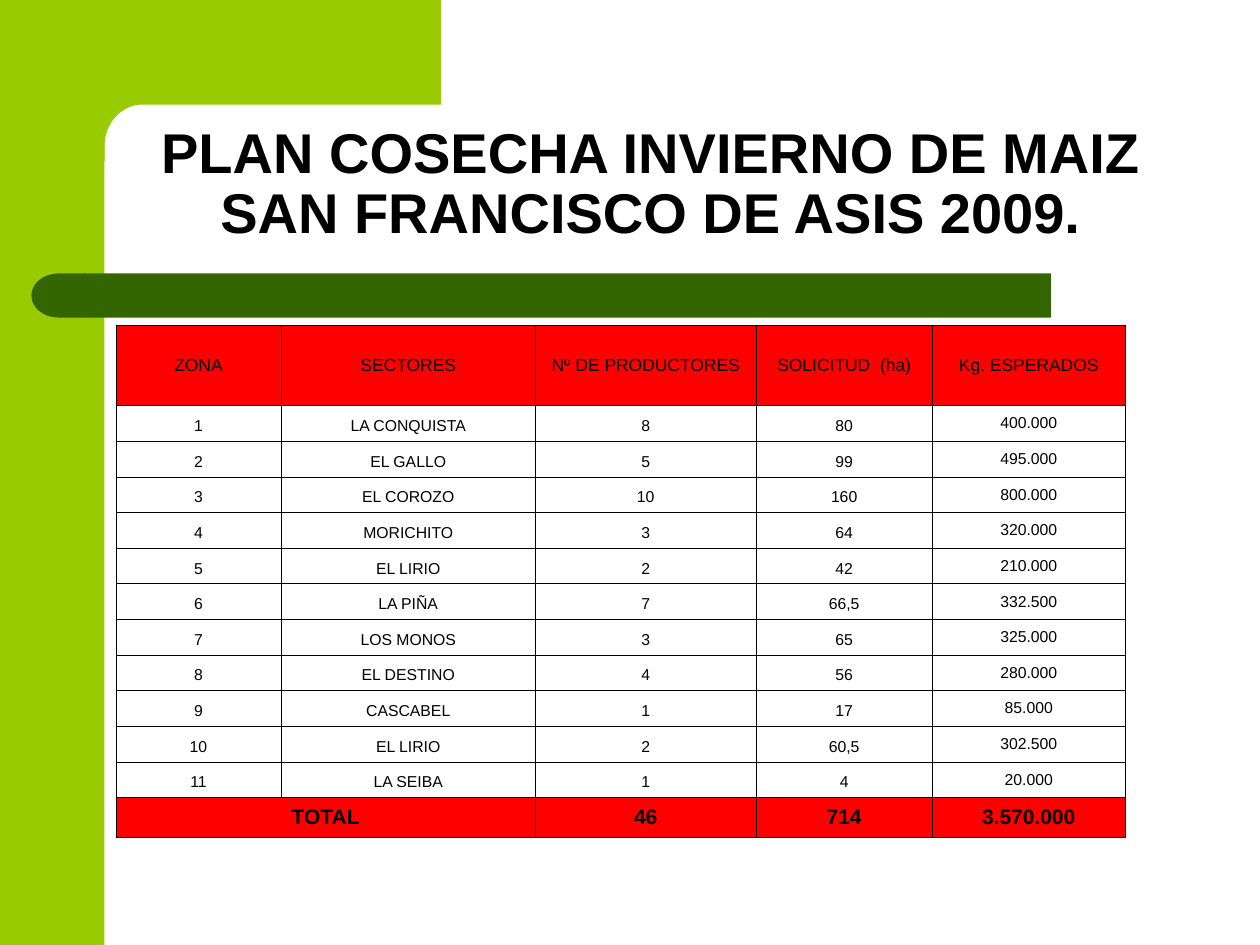
import math

from lxml import etree
from pptx import Presentation
from pptx import util as u
from pptx.dml.color import RGBColor
from pptx.enum import shapes, text
from pptx.oxml import ns

COLORS = {"lime": "99CC00", "green": "336600", "red": "FF0000", "black": "000000"}
HEADERS = ["ZONA", "SECTORES", "Nº DE PRODUCTORES", "SOLICITUD  (ha)", "Kg. ESPERADOS"]
SECTORS = [
    ("LA CONQUISTA", "8", "80", "400.000"),
    ("EL GALLO", "5", "99", "495.000"),
    ("EL COROZO", "10", "160", "800.000"),
    ("MORICHITO", "3", "64", "320.000"),
    ("EL LIRIO", "2", "42", "210.000"),
    ("LA PIÑA", "7", "66,5", "332.500"),
    ("LOS MONOS", "3", "65", "325.000"),
    ("EL DESTINO", "4", "56", "280.000"),
    ("CASCABEL", "1", "17", "85.000"),
    ("EL LIRIO", "2", "60,5", "302.500"),
    ("LA SEIBA", "1", "4", "20.000"),
]
TOTALS = ["TOTAL", "", "46", "714", "3.570.000"]
COLUMN_WIDTHS = [1.31, 2.02, 1.75, 1.4, 1.53]
TABLE_HEIGHT, HEADER_HEIGHT, TOTAL_HEIGHT = 4.07, 0.64, 0.32


class SlideBuilder:
    font = "Arial"

    def __init__(self, slide):
        self.slide = slide

    def color(self, name):
        return RGBColor.from_string(COLORS[name])

    def paint(self, shape, color):
        shape.shadow.inherit = False
        shape.fill.solid()
        shape.fill.fore_color.rgb = self.color(color)
        shape.line.fill.background()
        return shape

    def block(self, kind, box, color):
        shape = self.slide.shapes.add_shape(kind, *map(u.Inches, box))
        return self.paint(shape, color)

    def outline(self, points, color):
        corners = [(u.Inches(x), u.Inches(y)) for x, y in points]
        builder = self.slide.shapes.build_freeform(*corners[0])
        builder.add_line_segments(corners[1:], close=True)
        return self.paint(builder.convert_to_shape(), color)

    def line(self, start, end, color, width):
        connector = self.slide.shapes.add_connector(
            shapes.MSO_CONNECTOR.STRAIGHT, *map(u.Inches, start + end)
        )
        connector.line.color.rgb = self.color(color)
        connector.line.width = u.Pt(width)
        etree.SubElement(connector._element.spPr, ns.qn("a:effectLst"))

    def set_text(self, text_frame, content, size, bold=False):
        text_frame.text = content
        paragraph = text_frame.paragraphs[0]
        paragraph.alignment = text.PP_ALIGN.CENTER
        for run in paragraph.runs:
            run.font.name = self.font
            run.font.size = u.Pt(size)
            run.font.bold = bold
            run.font.color.rgb = self.color("black")
        return paragraph

    def title(self, box, content, size):
        text_frame = self.slide.shapes.add_textbox(*map(u.Inches, box)).text_frame
        text_frame.word_wrap = True
        text_frame.vertical_anchor = text.MSO_ANCHOR.BOTTOM
        self.set_text(text_frame, content, size, bold=True).line_spacing = 0.9

    def borders(self, cell, color, width):
        properties = cell._tc.get_or_add_tcPr()
        for position, side in enumerate(("lnL", "lnR", "lnT", "lnB")):
            border = etree.Element(ns.qn(f"a:{side}"), w=str(u.Pt(width)))
            fill = etree.SubElement(border, ns.qn("a:solidFill"))
            etree.SubElement(fill, ns.qn("a:srgbClr"), val=COLORS[color])
            properties.insert(position, border)

    def cell(self, cell, content, size, bold, anchor, fill):
        self.set_text(cell.text_frame, content, size, bold)
        cell.vertical_anchor = anchor
        if fill:
            cell.fill.solid()
            cell.fill.fore_color.rgb = self.color(fill)
        else:
            cell.fill.background()
        self.borders(cell, "black", 0.45)

    def table(self, left, top, widths, heights, rows):
        box = (left, top, sum(widths), sum(heights))
        table = self.slide.shapes.add_table(
            len(rows), len(widths), *map(u.Inches, box)
        ).table
        table.first_row = table.horz_banding = False
        for column, width in zip(table.columns, widths):
            column.width = u.Inches(width)
        last_row, last_column = len(rows) - 1, len(widths) - 1
        for i, (height, values) in enumerate(zip(heights, rows)):
            table.rows[i].height = u.Inches(height)
            size = {0: 10, last_row: 12}.get(i, 9)
            accented = i in (0, last_row)
            for j, content in enumerate(values):
                centered = accented or j == last_column
                anchor = text.MSO_ANCHOR.MIDDLE if centered else text.MSO_ANCHOR.BOTTOM
                fill = "red" if accented else None
                self.cell(table.cell(i, j), content, size, i == last_row, anchor, fill)
        table.cell(last_row, 0).merge(table.cell(last_row, 1))


def main():
    presentation = Presentation()
    presentation.slide_width = u.Inches(10)
    presentation.slide_height = u.Inches(7.5)
    builder = SlideBuilder(presentation.slides.add_slide(presentation.slide_layouts[6]))

    kinds = shapes.MSO_SHAPE
    builder.block(kinds.RECTANGLE, (0, 0, 0.83, 7.5), "lime")
    angles = [math.radians(degrees) for degrees in range(0, 91, 6)]
    curve = [(1.13 - 0.3 * math.sin(a), 1.16 - 0.33 * math.cos(a)) for a in angles]
    builder.outline(
        [(0.5, 0), (3.5, 0), (3.5, 0.83), *curve, (0.83, 1.28), (0.5, 1.28)], "lime"
    )
    bar = builder.block(kinds.ROUNDED_RECTANGLE, (0.67, 2.17, 7.67, 0.35), "green")
    bar.adjustments[0] = 0
    bar_end = builder.block(kinds.FLOWCHART_DELAY, (0.25, 2.17, 0.43, 0.35), "green")
    bar_end._element.spPr.xfrm.set("flipH", "1")

    builder.line((2.53, 4.31), (2.53, 4.31), "black", 1)
    builder.title(
        (0.91, 0.91, 8.51, 1.09),
        "PLAN COSECHA INVIERNO DE MAIZ SAN FRANCISCO DE ASIS 2009.",
        32,
    )

    zones = [(str(zone), *values) for zone, values in enumerate(SECTORS, 1)]
    zone_height = (TABLE_HEIGHT - HEADER_HEIGHT - TOTAL_HEIGHT) / len(zones)
    heights = [HEADER_HEIGHT, *[zone_height] * len(zones), TOTAL_HEIGHT]
    builder.table(0.92, 2.58, COLUMN_WIDTHS, heights, [HEADERS, *zones, TOTALS])
    presentation.save("out.pptx")


if __name__ == "__main__":
    main()
